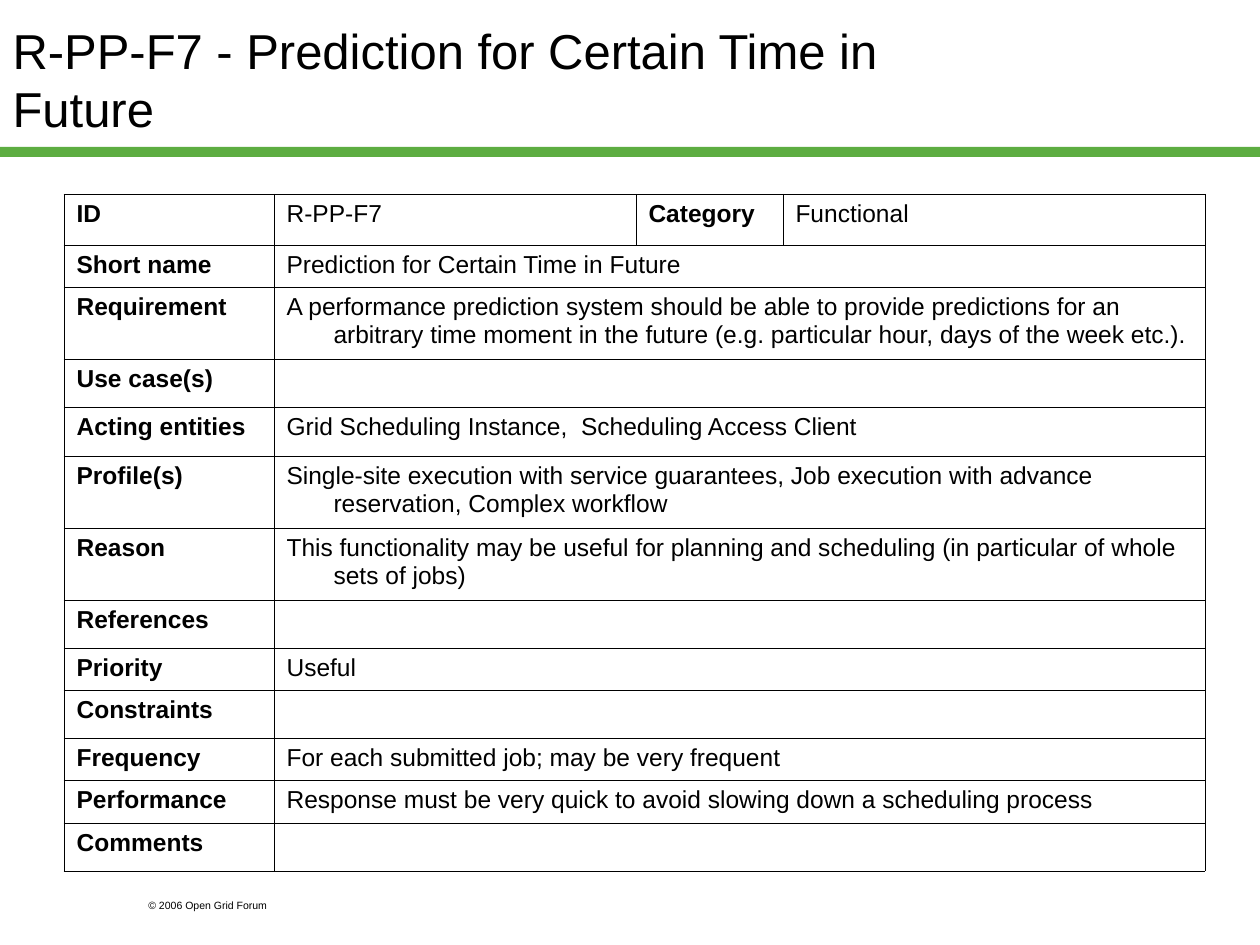
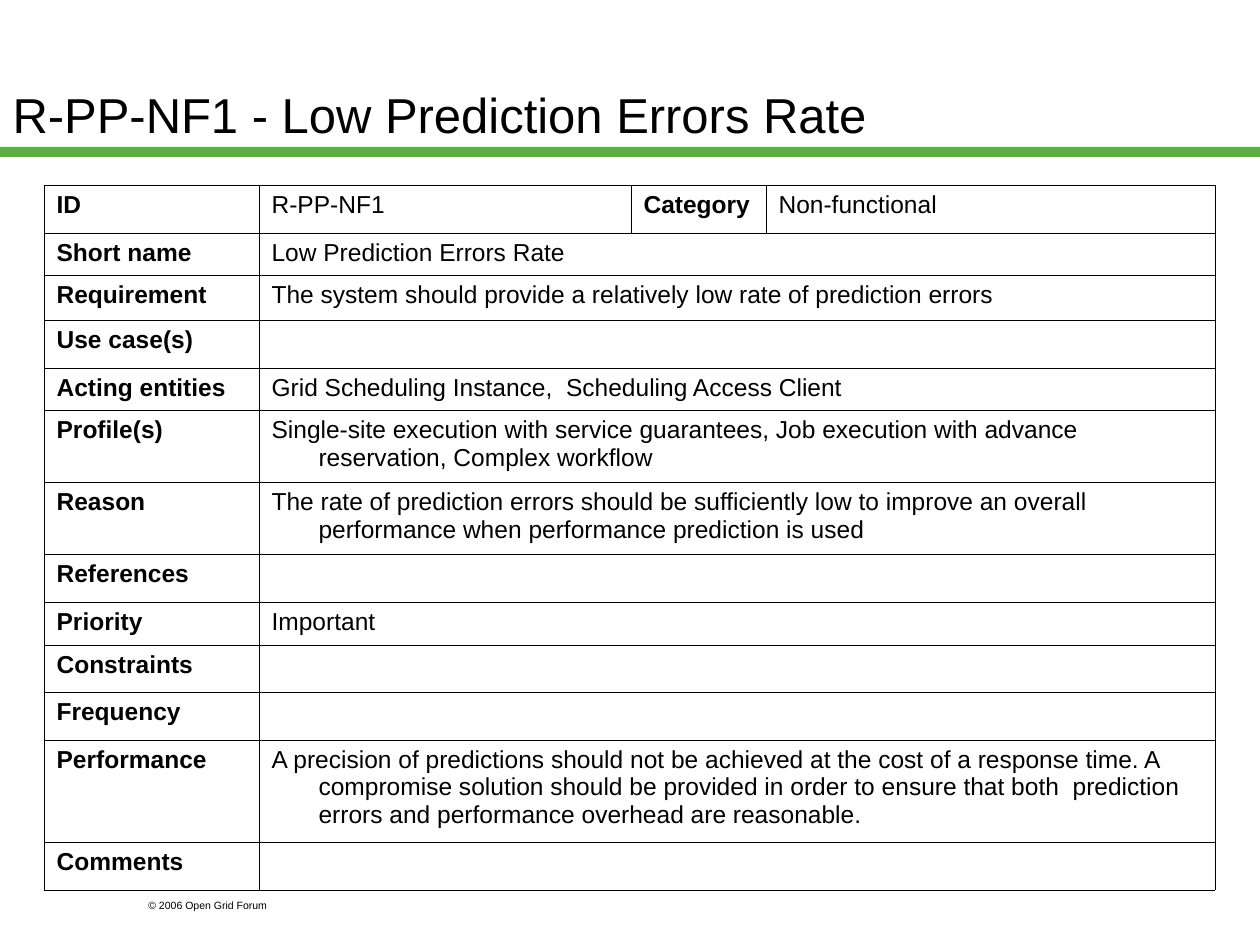
"""Build two requirement sheets, each a title, a green band and a ruled table."""
from dataclasses import dataclass
from typing import Any

from lxml import etree
from pptx import Presentation
from pptx import util as u
from pptx.dml.color import RGBColor
from pptx.enum import shapes, text
from pptx.oxml import ns

SCALE = u.Inches(1) / 126
BLACK = RGBColor(0x00, 0x00, 0x00)
GREEN = RGBColor(0x5D, 0xAD, 0x41)
FONT = "Arial"
TITLE_SIZE = 28
CELL_SIZE = 14
FOOTER_SIZE = 6
BORDER_WIDTH = u.Pt(0.34)
HANGING = 47
TITLE_ONLY = 5
FOOTER = "© 2006 Open Grid Forum"
LABELS = (
    "Short name", "Requirement", "Use case(s)", "Acting entities", "Profile(s)",
    "Reason", "References", "Priority", "Constraints", "Frequency",
    "Performance", "Comments",
)
ENTITIES = "Grid Scheduling Instance,  Scheduling Access Client"
PROFILES = (
    "Single-site execution with service guarantees, "
    "Job execution with advance reservation, Complex workflow"
)


@dataclass(frozen=True)
class Box:
    """A rectangle in px."""
    left: int
    top: int
    width: int
    height: int

    def emu(self) -> tuple[int, ...]:
        """Return the four lengths in EMU."""
        return tuple(map(px, (self.left, self.top, self.width, self.height)))


@dataclass(frozen=True)
class Requirement:
    """The content and measures of one requirement sheet."""
    title: str
    title_top: int
    code: str
    category: str
    left: int
    top: int
    columns: tuple[int, ...]
    rows: tuple[int, ...]
    details: dict[str, str]


REQUIREMENTS = (
    Requirement(
        title="R-PP-F7 - Prediction for Certain Time in \vFuture",
        title_top=0,
        code="R-PP-F7",
        category="Functional",
        left=64,
        top=194,
        columns=(210, 362, 147, 422),
        rows=(51, 42, 72, 48, 49, 72, 72, 48, 42, 48, 42, 43, 48),
        details={
            "Short name": "Prediction for Certain Time in Future",
            "Requirement": "A performance prediction system should be able to "
                           "provide predictions for an arbitrary time moment in "
                           "the future (e.g. particular hour, days of the week etc.).",
            "Acting entities": ENTITIES,
            "Profile(s)": PROFILES,
            "Reason": "This functionality may be useful for planning and "
                      "scheduling (in particular of whole sets of jobs)",
            "Priority": "Useful",
            "Frequency": "For each submitted job; may be very frequent",
            "Performance": "Response must be very quick to avoid slowing down "
                           "a scheduling process",
        },
    ),
    Requirement(
        title="R-PP-NF1 - Low Prediction Errors Rate",
        title_top=35,
        code="R-PP-NF1",
        category="Non-functional",
        left=44,
        top=185,
        columns=(215, 372, 135, 449),
        rows=(48, 42, 45, 48, 42, 72, 72, 48, 43, 47, 48, 102, 48),
        details={
            "Short name": "Low Prediction Errors Rate",
            "Requirement": "The system should provide a relatively low rate "
                           "of prediction errors",
            "Acting entities": ENTITIES,
            "Profile(s)": PROFILES,
            "Reason": "The rate of prediction errors should be sufficiently low "
                      "to improve an overall performance when performance "
                      "prediction is used",
            "Priority": "Important",
            "Performance": "A precision of predictions should not be achieved at "
                           "the cost of a response time. A compromise solution "
                           "should be provided in order to ensure that both  "
                           "prediction errors and performance overhead are reasonable.",
        },
    ),
)


def px(length: int) -> int:
    """Turn px into EMU."""
    return round(length * SCALE)


def apply(target: Any, values: dict[str, Any]) -> None:
    """Set every attribute named in values."""
    for name, value in values.items():
        setattr(target, name, value)


def write(frame: Any, words: str, size: int, bold: bool = False) -> None:
    """Put left-aligned black words into a text frame."""
    frame.text = words
    para = frame.paragraphs[0]
    para.alignment = text.PP_ALIGN.LEFT
    for span in para.runs:
        apply(span.font, {"name": FONT, "size": u.Pt(size), "bold": bold})
        span.font.color.rgb = BLACK


def add_title(page: Any, words: str, top: int) -> None:
    """Place the title placeholder and fill it."""
    title = page.shapes.title
    names = ("left", "top", "width", "height")
    apply(title, dict(zip(names, Box(0, top, 1071, 158).emu())))
    write(title.text_frame, words, TITLE_SIZE)
    apply(title.text_frame, {
        "vertical_anchor": text.MSO_ANCHOR.MIDDLE,
        "auto_size": text.MSO_AUTO_SIZE.NONE,
        "word_wrap": True,
    })


def add_frame(page: Any) -> None:
    """Draw the green band and the copyright line."""
    band = page.shapes.add_shape(
        shapes.MSO_SHAPE.RECTANGLE, *Box(0, 147, 1260, 10).emu())
    band.shadow.inherit = False
    band.fill.solid()
    band.fill.fore_color.rgb = GREEN
    band.line.fill.background()
    footer = page.shapes.add_textbox(*Box(136, 893, 189, 25).emu())
    footer.text_frame.word_wrap = True
    write(footer.text_frame, FOOTER, FOOTER_SIZE)


def prepare_cell(cell: Any) -> None:
    """Rule a cell on four sides without fill and size its empty line."""
    properties = cell._tc.get_or_add_tcPr()
    for side in ("a:lnL", "a:lnR", "a:lnT", "a:lnB"):
        line = etree.SubElement(properties, ns.qn(side), w=str(BORDER_WIDTH))
        fill = etree.SubElement(line, ns.qn("a:solidFill"))
        etree.SubElement(fill, ns.qn("a:srgbClr"), val=str(BLACK))
    cell.fill.background()
    para = cell.text_frame.paragraphs[0]
    ending = etree.SubElement(
        para._p, ns.qn("a:endParaRPr"), sz=str(CELL_SIZE * 100))
    etree.SubElement(ending, ns.qn("a:latin"), typeface=FONT)


def write_cell(cell: Any, words: str, bold: bool) -> None:
    """Write words into a cell with a hanging indent."""
    write(cell.text_frame, words, CELL_SIZE, bold)
    properties = cell.text_frame.paragraphs[0]._p.get_or_add_pPr()
    properties.set("marL", str(px(HANGING)))
    properties.set("indent", str(-px(HANGING)))


def add_sheet(page: Any, sheet: Requirement) -> None:
    """Add the table of one requirement."""
    area = Box(sheet.left, sheet.top, sum(sheet.columns), sum(sheet.rows))
    table = page.shapes.add_table(
        len(sheet.rows), len(sheet.columns), *area.emu()).table
    apply(table, {"first_row": False, "horz_banding": False})
    for column, width in zip(table.columns, sheet.columns):
        column.width = px(width)
    for row, height in zip(table.rows, sheet.rows):
        row.height = px(height)
    for cell in table.iter_cells():
        prepare_cell(cell)
    heading = ("ID", sheet.code, "Category", sheet.category)
    for index, words in enumerate(heading):
        write_cell(table.cell(0, index), words, bold=index % 2 == 0)
    for index, label in enumerate(LABELS, start=1):
        detail = table.cell(index, 1)
        detail.merge(table.cell(index, len(sheet.columns) - 1))
        write_cell(table.cell(index, 0), label, bold=True)
        if label in sheet.details:
            write_cell(detail, sheet.details[label], bold=False)


def main() -> None:
    """Build and save the deck."""
    deck = Presentation()
    apply(deck, {"slide_width": px(1260), "slide_height": px(945)})
    for sheet in REQUIREMENTS:
        page = deck.slides.add_slide(deck.slide_layouts[TITLE_ONLY])
        add_frame(page)
        add_title(page, sheet.title, sheet.title_top)
        add_sheet(page, sheet)
    deck.save("out.pptx")


if __name__ == "__main__":
    main()
